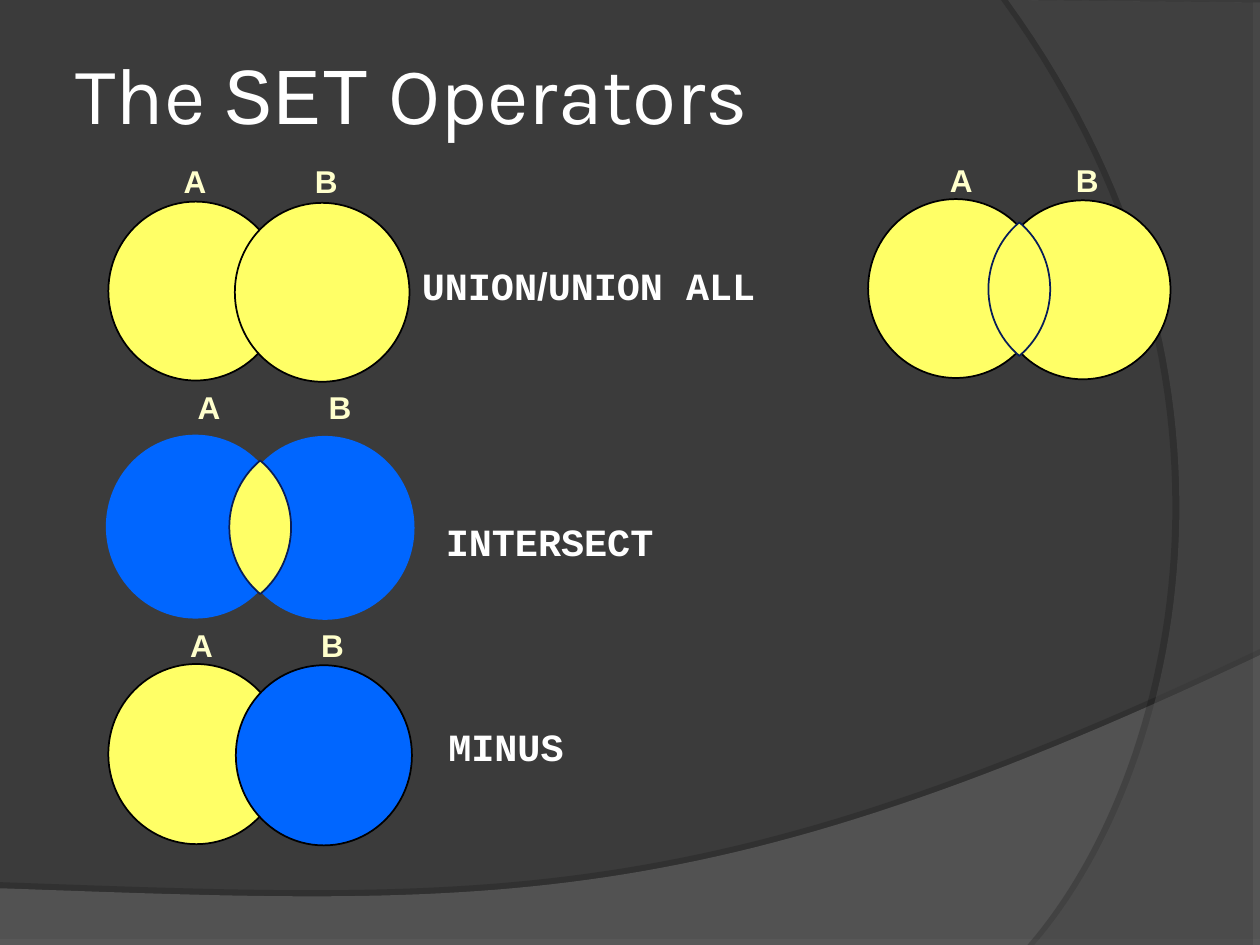
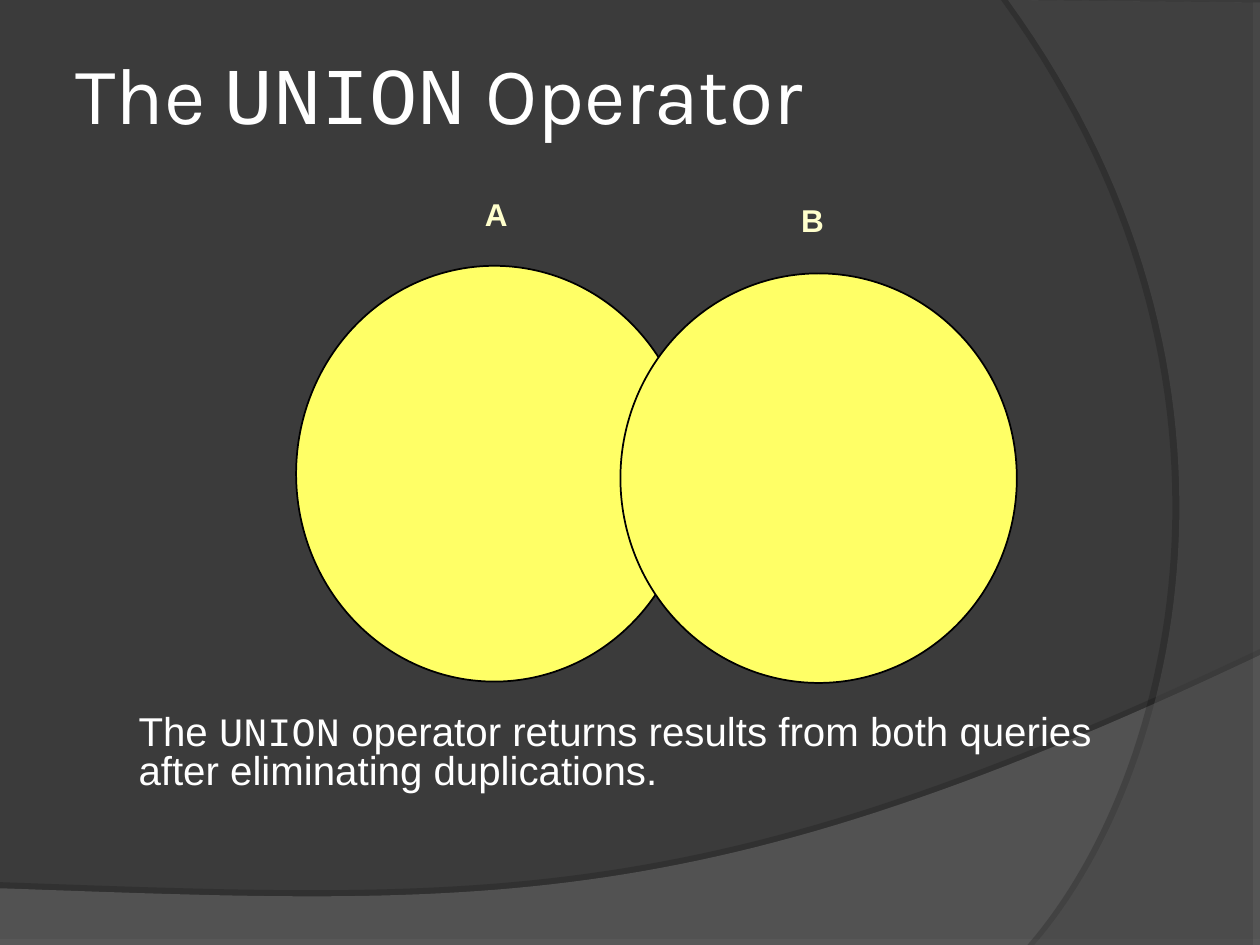
from math import asin, cos, sin

from lxml.etree import SubElement
from pptx import Presentation
from pptx.dml.color import RGBColor
from pptx.enum.shapes import MSO_SHAPE
from pptx.enum.text import MSO_ANCHOR, MSO_AUTO_SIZE, PP_ALIGN
from pptx.oxml.ns import qn
from pptx.util import Inches, Pt

# The slide is a grid of 100 columns by 75 rows of square cells.
COLS, ROWS = 100, 75
CELL = Inches(0.1)

CHARCOAL = RGBColor(0x3B, 0x3B, 0x3B)
WAVE_GREY = RGBColor(0x7C, 0x7C, 0x7C)
ARC_GREY = RGBColor(0x59, 0x59, 0x59)
WHITE = RGBColor(0xFF, 0xFF, 0xFF)
CREAM = RGBColor(0xFF, 0xFF, 0xCC)
YELLOW = RGBColor(0xFF, 0xFF, 0x66)
BLUE = RGBColor(0x00, 0x66, 0xFF)
BLACK = RGBColor(0x00, 0x00, 0x00)
NAVY = RGBColor(0x08, 0x1D, 0x58)

HEADING, SANS, CODE = "Karla", "Arial", "Courier New"
OUTLINE = Pt(1)


def cells(*values):
    """Turn grid cells into slide lengths."""
    return [round(v * CELL) for v in values]


def curve(p0, p1, p2, p3, steps=60):
    """Return points along a cubic curve, both ends included."""
    points = []
    for i in range(steps + 1):
        t = i / steps
        u = 1 - t
        points.append(tuple(u**3 * a + 3 * u * u * t * b + 3 * u * t * t * c + t**3 * d
                            for a, b, c, d in zip(p0, p1, p2, p3)))
    return points


def paint(shape, fill, line=None):
    """Give a shape a flat fill and an optional outline."""
    shape.shadow.inherit = False
    shape.fill.solid()
    shape.fill.fore_color.rgb = fill
    if line is None:
        shape.line.fill.background()
    else:
        shape.line.color.rgb = line
        shape.line.width = OUTLINE


def outline(shapes, points, fill, line=None):
    """Draw a closed freeform through grid points."""
    start, *rest = [cells(*p) for p in points]
    builder = shapes.build_freeform(*start, scale=1.0)
    builder.add_line_segments(rest, close=True)
    shape = builder.convert_to_shape()
    paint(shape, fill, line)
    return shape


def band(s, points, fill, opacity, shade, distance, angle):
    """Draw a translucent band with a hard shadow."""
    shape = outline(s.shapes, points, fill)
    props = shape.element.spPr
    color = props.find(qn("a:solidFill")).find(qn("a:srgbClr"))
    SubElement(color, qn("a:alpha"), val=str(opacity * 1000))
    shadow = SubElement(props.find(qn("a:effectLst")), qn("a:outerShdw"), blurRad="0",
                        dist=str(Pt(distance)), dir=str(angle * 60000),
                        algn="ctr", rotWithShape="0")
    color = SubElement(shadow, qn("a:srgbClr"), val=str(BLACK))
    SubElement(color, qn("a:alpha"), val=str(shade * 1000))
    return shape


def decorate_master(prs, s):
    """Set the background and move the two shared bands to the master."""
    master = prs.slide_master
    master.background.fill.solid()
    master.background.fill.fore_color.rgb = CHARCOAL
    wave = [(0, ROWS), (COLS, ROWS)] + curve((COLS, 52), (55.9, 72.9), (39.1, 71.9), (0, 70.5))
    arc = [(COLS, 0.2), (COLS, ROWS)] + curve((82.1, ROWS), (93.5, 61.9), (101.8, 30), (80, 0))
    bands = [band(s, wave, WAVE_GREY, 45, 35, 3.5, 270),
             band(s, arc, ARC_GREY, 40, 45, 4, 180)]
    for i, shape in enumerate(bands):
        master.element.cSld.spTree.insert(2 + i, shape.element)


def write(p, parts, size, color, bold=False):
    """Fill a paragraph with (text, font) parts of one size and colour."""
    p.font.size, p.font.color.rgb, p.font.bold = Pt(size), color, bold
    for text, font in parts:
        r = p.add_run()
        r.text = text
        r.font.name = font
        r.font.size, r.font.color.rgb, r.font.bold = Pt(size), color, bold


def place(shape, box):
    """Move a placeholder to a grid box."""
    shape.left, shape.top, shape.width, shape.height = cells(*box)


def title(s, operator, noun):
    """Write the slide title with the operator in the code font."""
    place(s.shapes.title, (5, 3, 81.7, 12.5))
    tf = s.shapes.title.text_frame
    tf.vertical_anchor = MSO_ANCHOR.TOP
    tf.auto_size = MSO_AUTO_SIZE.NONE
    p = tf.paragraphs[0]
    p.alignment = PP_ALIGN.LEFT
    write(p, [("The ", HEADING), (operator, CODE), (f" {noun}", HEADING)], 46, WHITE)


def body(s, box, lines):
    """Write the body lines, tightly spaced and without bullets."""
    shape = s.placeholders[1]
    place(shape, box)
    tf = shape.text_frame
    tf.auto_size = MSO_AUTO_SIZE.NONE
    for i, parts in enumerate(lines):
        p = tf.add_paragraph() if i else tf.paragraphs[0]
        p.line_spacing, p.space_before = 0.8, Pt(0)
        props = p._p.get_or_add_pPr()
        props.set("marL", str(Inches(0.46)))
        props.set("indent", str(Inches(-0.42)))
        SubElement(props, qn("a:buNone"))
        write(p, parts, 23, WHITE)


def label(shapes, box, parts, size, color, wrap=False):
    """Add a bold text box."""
    tf = shapes.add_textbox(*cells(*box)).text_frame
    tf.word_wrap = wrap
    tf.auto_size = MSO_AUTO_SIZE.SHAPE_TO_FIT_TEXT
    write(tf.paragraphs[0], parts, size, color, bold=True)


def lens(shapes, cx, cy, half_w=2.45, half_h=5.3, steps=30):
    """Draw the overlap of two circles around a centre."""
    radius = (half_h**2 + half_w**2) / (2 * half_w)
    reach = asin(half_h / radius)
    angles = [reach * (2 * i / steps - 1) for i in range(steps + 1)]
    right = [(radius * cos(a) - radius + half_w, radius * sin(a)) for a in angles]
    left = [(-x, -y) for x, y in right]
    outline(shapes, [(cx + x, cy + y) for x, y in right + left[1:-1]], YELLOW, NAVY)


def venn(shapes, box, names, fills, share=0.58, drop=0.1, line=BLACK, overlap=False):
    """Draw circles A and B in a box; names holds the label offsets and lift."""
    x, y, w, h = box
    size = w * share
    circles = [(x, y, size, h - 0.1), (x + w - size, y + drop, size, h - drop)]
    for circle, fill in zip(circles, fills):
        paint(shapes.add_shape(MSO_SHAPE.OVAL, *cells(*circle)), fill, line)
    if overlap:
        lens(shapes, x + w / 2, y + h / 2)
    *offsets, lift = names
    for name, offset, shift in zip("AB", offsets, (0, drop - 0.1)):
        label(shapes, (x + offset, y - lift + shift, 3.8, 4), [(name, SANS)], 18, CREAM)


def operators_slide(s):
    """Show one diagram for each set operator."""
    title(s, "SET", "Operators")
    shapes = s.shapes
    label(shapes, (32.5, 20.3, 37, 4.7),
          [("UNION", CODE), ("/", SANS), ("UNION ALL", CODE)], 22, WHITE, wrap=True)
    venn(shapes, (8.6, 16, 23.9, 14.3), (5, 15.4, 3.6), (YELLOW, YELLOW))
    venn(shapes, (68.9, 15.8, 24, 14.3), (5.5, 15.5, 3.5), (YELLOW, YELLOW), overlap=True)

    group = shapes.add_group_shape().shapes
    label(group, (34.4, 40.6, 18.5, 4.7), [("INTERSECT", CODE)], 22, WHITE)
    venn(group, (8.4, 34.5, 24.5, 14.7), (6.3, 16.7, 4.2), (BLUE, BLUE), line=None, overlap=True)

    label(shapes, (34.6, 56.9, 11.2, 4.7), [("MINUS", CODE)], 22, WHITE)
    venn(shapes, (8.6, 52.7, 24.1, 14.4), (5.5, 15.9, 3.5), (YELLOW, BLUE))


def union_slide(s):
    """Explain the union with a large diagram and a sentence."""
    title(s, "UNION", "Operator")
    body(s, (9.6, 56.3, 80.8, 7.9), [
        [("The ", SANS), ("UNION", CODE),
         (" operator returns results from both queries ", SANS)],
        [("after eliminating duplications.", SANS)],
    ])
    venn(s.shapes, (23.5, 21.1, 57.2, 33.1), (14, 39.1, 6.1), (YELLOW, YELLOW),
         share=0.55, drop=0.6)


prs = Presentation()
prs.slide_width, prs.slide_height = cells(COLS, ROWS)
TITLE_AND_CONTENT, TITLE_ONLY = prs.slide_layouts[1], prs.slide_layouts[5]
operators = prs.slides.add_slide(TITLE_ONLY)
decorate_master(prs, operators)
operators_slide(operators)
union_slide(prs.slides.add_slide(TITLE_AND_CONTENT))
prs.save("out.pptx")
